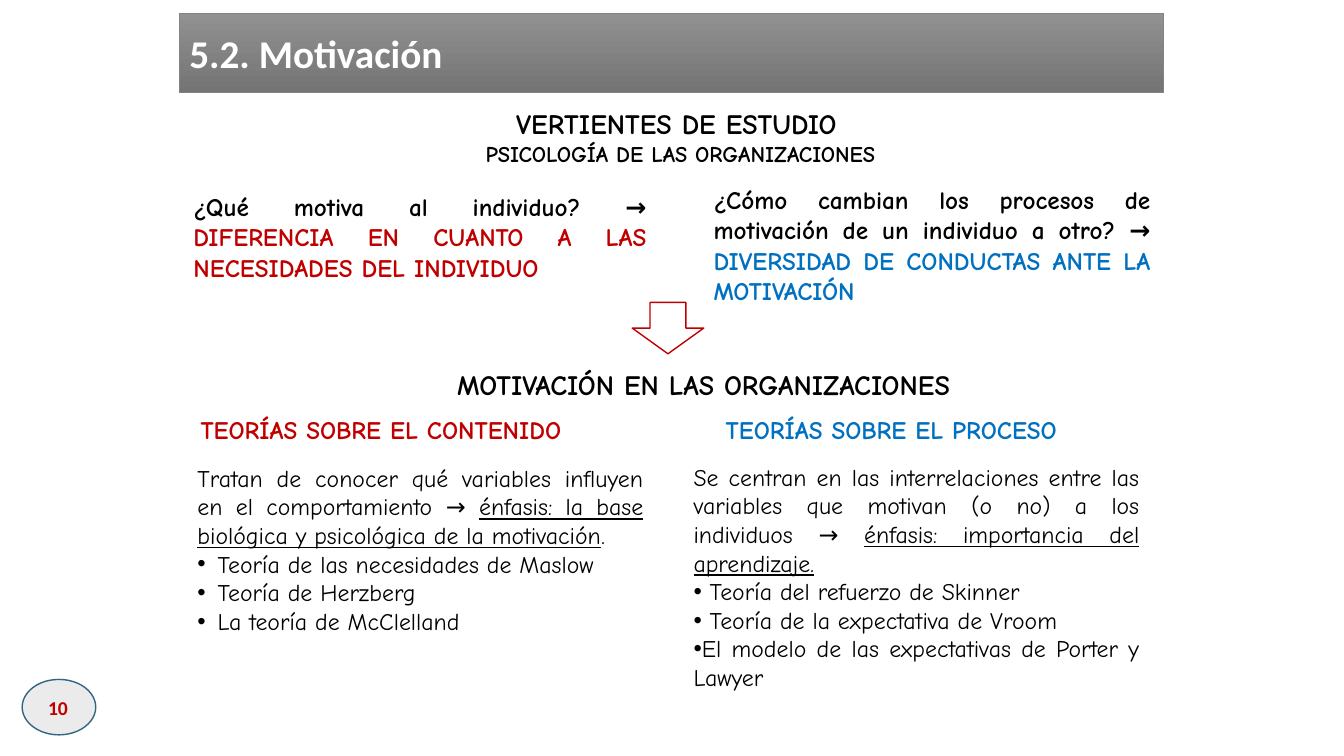
from lxml.etree import SubElement
from pptx import Presentation
from pptx.dml.color import RGBColor
from pptx.enum.shapes import MSO_SHAPE as Preset
from pptx.enum.text import MSO_ANCHOR as Anchor, PP_ALIGN as Align
from pptx.oxml.ns import qn
from pptx.util import Pt

PX = 9144  # 100 px to the inch
BLACK = RGBColor(0x00, 0x00, 0x00)
WHITE = RGBColor(0xFF, 0xFF, 0xFF)
RED = RGBColor(0xC0, 0x00, 0x00)
BLUE = RGBColor(0x00, 0x70, 0xC0)
BADGE_FILL = RGBColor(0xEB, 0xEB, 0xEB)
BADGE_LINE = RGBColor(0x30, 0x66, 0x84)
BAR_TOP = RGBColor(0x91, 0x91, 0x91)
BAR_BOTTOM = RGBColor(0x74, 0x74, 0x74)
BAR_LINE = RGBColor(0x83, 0x83, 0x83)
HAND, SANS = "Comic Neue", "Calibri"


def emu(*lengths):
    return [length * PX for length in lengths]


def add_preset(slide, preset, box, line_color, line_width=1):
    shape = slide.shapes.add_shape(preset, *emu(*box))
    shape.shadow.inherit = False
    shape.fill.background()
    shape.line.color.rgb = line_color
    shape.line.width = Pt(line_width)
    return shape


def add_box(slide, box, anchor=Anchor.TOP):
    frame = slide.shapes.add_textbox(*emu(*box)).text_frame
    frame.word_wrap = True
    frame.vertical_anchor = anchor
    return frame


def add_bullet(paragraph, indent):
    properties = paragraph._p.get_or_add_pPr()
    properties.set("marL", str(indent * PX))
    properties.set("indent", str(-indent * PX))
    SubElement(properties, qn("a:buFont"), typeface="Arial")
    SubElement(properties, qn("a:buChar"), char="•")


def write(paragraph, text, size, color=BLACK, bold=True, align=Align.JUSTIFY, name=HAND):
    paragraph.text = text
    paragraph.alignment = align
    font = paragraph.font
    font.name, font.size, font.bold = name, Pt(size), bold
    font.color.rgb = color


def add_heading(slide, box, text, size, color=BLACK, align=Align.JUSTIFY):
    frame = add_box(slide, box)
    write(frame.paragraphs[0], text, size, color, align=align)
    return frame


def add_question(slide, box, question, answer, color):
    frame = add_heading(slide, box, question, 18)
    run = frame.paragraphs[0].add_run()
    run.text = answer
    run.font.color.rgb = color


def add_theory(slide, box, intro, emphasis, ending, theories, indent):
    frame = add_box(slide, box)
    paragraph = frame.paragraphs[0]
    write(paragraph, intro, 17, bold=False)
    run = paragraph.add_run()
    run.text = emphasis
    run.font.underline = True
    if ending:
        paragraph.add_run().text = ending
    for theory in theories:
        paragraph = frame.add_paragraph()
        add_bullet(paragraph, indent)
        write(paragraph, theory, 17, bold=False)


def add_title_bar(slide, box, text):
    bar = add_preset(slide, Preset.RECTANGLE, box, BAR_LINE, 0.5)
    bar.fill.gradient()
    bar.fill.gradient_angle = 270
    for stop, color in zip(bar.fill.gradient_stops, (BAR_TOP, BAR_BOTTOM)):
        stop.color.rgb = color
    bar.text_frame.vertical_anchor = Anchor.MIDDLE
    write(bar.text_frame.paragraphs[0], text, 28, WHITE, name=SANS)


def add_page_number(slide, number):
    badge = add_preset(slide, Preset.OVAL, (22, 674, 73, 55), BADGE_LINE)
    badge.fill.solid()
    badge.fill.fore_color.rgb = BADGE_FILL
    frame = add_box(slide, (5, 682, 105, 40), Anchor.MIDDLE)
    write(frame.paragraphs[0], number, 14, RED, align=Align.CENTER, name=SANS)


def main():
    presentation = Presentation()
    presentation.slide_width, presentation.slide_height = emu(1333, 750)
    slide = presentation.slides.add_slide(presentation.slide_layouts[6])

    # Title and page number
    add_title_bar(slide, (178, 13, 976, 79), "5.2. Motivación")
    add_page_number(slide, "10")

    # Fields of study and their questions
    study = add_heading(slide, (423, 101, 496, 77), "VERTIENTES DE ESTUDIO", 20,
                        align=Align.CENTER)
    write(study.add_paragraph(), " PSICOLOGÍA DE LAS ORGANIZACIONES", 16,
          align=Align.CENTER)
    add_question(slide, (182, 185, 469, 101), "¿Qué motiva al individuo? → ",
                 "DIFERENCIA EN CUANTO A LAS NECESIDADES DEL INDIVIDUO", RED)
    add_question(slide, (698, 178, 453, 131),
                 "¿Cómo cambian los procesos de motivación de un individuo a otro? → ",
                 "DIVERSIDAD DE CONDUCTAS ANTE LA MOTIVACIÓN", BLUE)
    add_preset(slide, Preset.DOWN_ARROW, (627, 300, 71, 51), RED)

    # Two families of theories
    add_heading(slide, (310, 360, 776, 44), "MOTIVACIÓN EN LAS ORGANIZACIONES", 20,
                align=Align.CENTER)
    add_heading(slide, (189, 406, 462, 40), "TEORÍAS SOBRE EL CONTENIDO", 18, RED)
    add_heading(slide, (710, 406, 413, 40), "TEORÍAS SOBRE EL PROCESO", 18, BLUE)
    add_theory(slide, (186, 455, 462, 210),
               "Tratan de conocer qué variables influyen en el comportamiento → ",
               "énfasis: la base biológica y psicológica de la motivación", ".",
               ["Teoría de las necesidades de Maslow", "Teoría de Herzberg",
                "La teoría de McClelland"], 20)
    add_theory(slide, (678, 454, 462, 239),
               "Se centran en las interrelaciones entre las variables que motivan "
               "(o no) a los individuos → ",
               "énfasis: importancia del aprendizaje.", "",
               [" Teoría del refuerzo de Skinner", " Teoría de la expectativa de Vroom",
                "El modelo de las expectativas de Porter y Lawyer"], 0)

    presentation.save("out.pptx")


if __name__ == "__main__":
    main()
